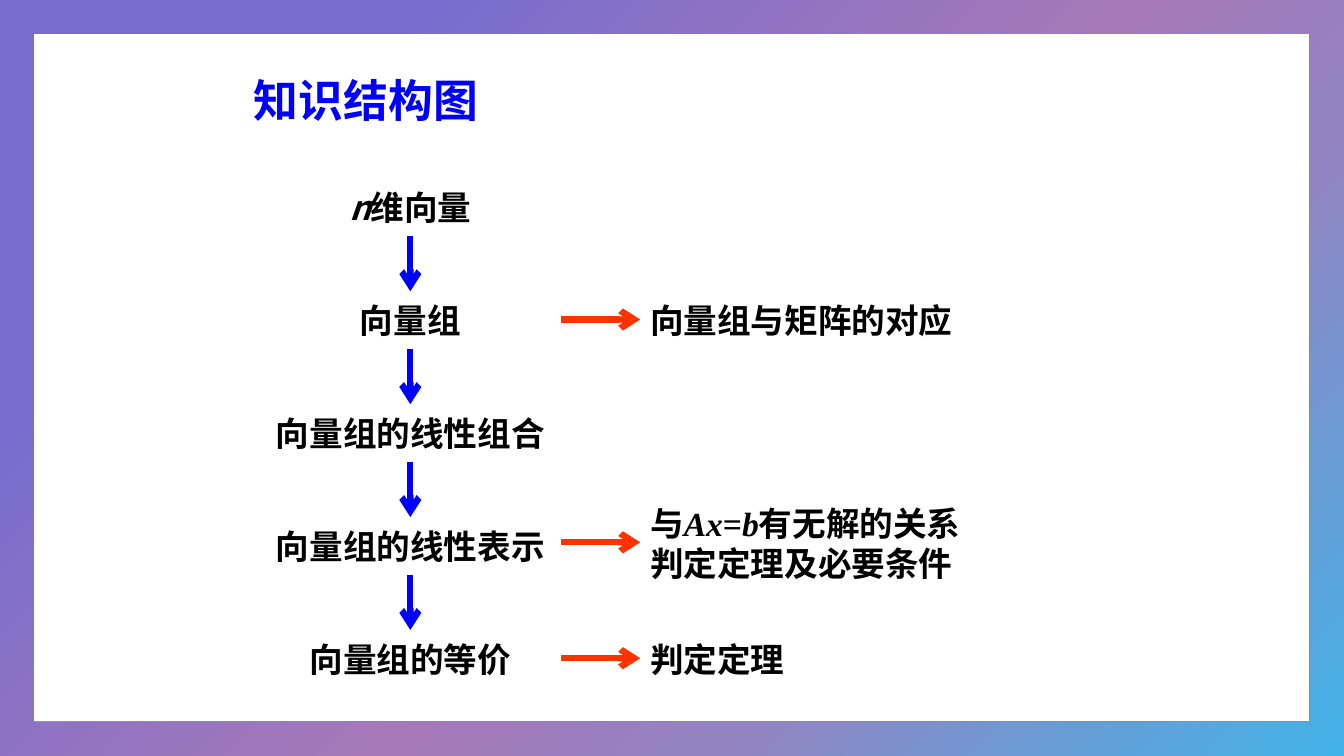
from dataclasses import dataclass

from lxml import etree
from pptx import Presentation
from pptx.dml.color import RGBColor
from pptx.enum import shapes, text
from pptx.oxml import ns, xmlchemy
from pptx.util import Inches, Pt

BLUE = RGBColor(0x00, 0x00, 0xFF)
RED = RGBColor(0xFF, 0x33, 0x00)
BLACK = RGBColor(0x00, 0x00, 0x00)
STOPS = [
    (20, RGBColor(0x78, 0x6D, 0xCE)),
    (54, RGBColor(0xA6, 0x78, 0xB8)),
    (70, RGBColor(0x93, 0x83, 0xC1)),
    (100, RGBColor(0x42, 0xB3, 0xE8)),
]
SANS = "Noto Sans CJK SC"
SERIF = "Times New Roman"

MID = 4.07  # centre line of the main chain
TOP, STEP, HIGH = 1.72, 1.12, 0.67


@dataclass(frozen=True)
class Piece:
    words: str
    face: str = SANS
    slant: bool = False


Lines = list[list[Piece]]


@dataclass(frozen=True)
class Stage:
    label: list[Piece]
    width: float = 3.94


@dataclass(frozen=True)
class Note:
    top: float
    lines: Lines


STAGES = [
    Stage([Piece("n", slant=True), Piece("维向量")], 1.89),
    Stage([Piece("向量组")], 1.89),
    Stage([Piece("向量组的线性组合")]),
    Stage([Piece("向量组的线性表示")]),
    Stage([Piece("向量组的等价")]),
]
NOTES = [
    Note(2.84, [[Piece("向量组与矩阵的对应")]]),
    Note(5.05, [
        [Piece("与"), Piece("Ax", SERIF, True), Piece("=", SERIF),
         Piece("b", SERIF, True), Piece("有无解的关系")],
        [Piece("判定定理及必要条件")],
    ]),
    Note(6.2, [[Piece("判定定理")]]),
]


def add_text(slide, left: float, top: float, width: float, height: float,
             lines: Lines, size: int = 24, color: RGBColor = BLACK,
             align=text.PP_ALIGN.LEFT) -> None:
    box = slide.shapes.add_textbox(
        Inches(left), Inches(top), Inches(width), Inches(height))
    frame = box.text_frame
    frame.word_wrap = True
    frame.vertical_anchor = text.MSO_ANCHOR.MIDDLE
    for i, line in enumerate(lines):
        para = frame.add_paragraph() if i else frame.paragraphs[0]
        para.alignment = align
        for piece in line:
            run = para.add_run()
            run.text = piece.words
            font = run.font
            font.name, font.size = piece.face, Pt(size)
            font.bold, font.italic = True, piece.slant
            font.color.rgb = color
            east = etree.SubElement(run._r.get_or_add_rPr(), ns.qn("a:ea"))
            east.set("typeface", SANS)


def add_arrow(slide, x: float, y: float, dx: float, dy: float,
              color: RGBColor) -> None:
    arrow = slide.shapes.add_connector(
        shapes.MSO_CONNECTOR.STRAIGHT, Inches(x), Inches(y),
        Inches(x + dx), Inches(y + dy))
    arrow.line.color.rgb = color
    arrow.line.width = Pt(4.5)
    tail = etree.SubElement(arrow.line._get_or_add_ln(), ns.qn("a:tailEnd"))
    tail.set("type", "arrow")
    etree.SubElement(arrow._element.spPr, ns.qn("a:effectLst"))


def add_border(slide, width: int, height: int) -> None:
    border = slide.shapes.add_shape(
        shapes.MSO_SHAPE.FRAME, 0, 0, width, height)
    border.adjustments[0] = 0.045
    border.shadow.inherit = False
    border.line.fill.background()
    border.fill.gradient()
    border.fill.gradient_angle = 315
    # Replace the two default stops by the four of the border
    stops = border._element.spPr.find(".//" + ns.qn("a:gsLst"))
    for old in list(stops):
        stops.remove(old)
    for place, color in STOPS:
        stop = etree.SubElement(stops, ns.qn("a:gs"), pos=str(place * 1000))
        etree.SubElement(stop, ns.qn("a:srgbClr"), val=str(color))


def main() -> None:
    deck = Presentation()
    deck.slide_width, deck.slide_height = Inches(13.33), Inches(7.5)
    slide = deck.slides.add_slide(deck.slide_layouts[6])

    # Title
    add_text(slide, 2.42, 0.36, 8.5, 1.25, [[Piece("知识结构图")]], 32, BLUE)

    # Main chain, joined by downward arrows
    for i, stage in enumerate(STAGES):
        top = TOP + i * STEP
        add_text(slide, MID - stage.width / 2, top, stage.width, HIGH,
                 [stage.label], align=text.PP_ALIGN.CENTER)
        if i < len(STAGES) - 1:
            add_arrow(slide, MID, top + 0.62, 0, 0.55, BLUE)

    # Side notes, each with an arrow
    for note in NOTES:
        add_arrow(slide, 5.56, note.top + 0.33, 0.79, 0, RED)
        add_text(slide, 6.35, note.top, 4.8, HIGH, note.lines)

    # Gradient border
    add_border(slide, deck.slide_width, deck.slide_height)
    deck.save("out.pptx")


if __name__ == "__main__":
    main()
